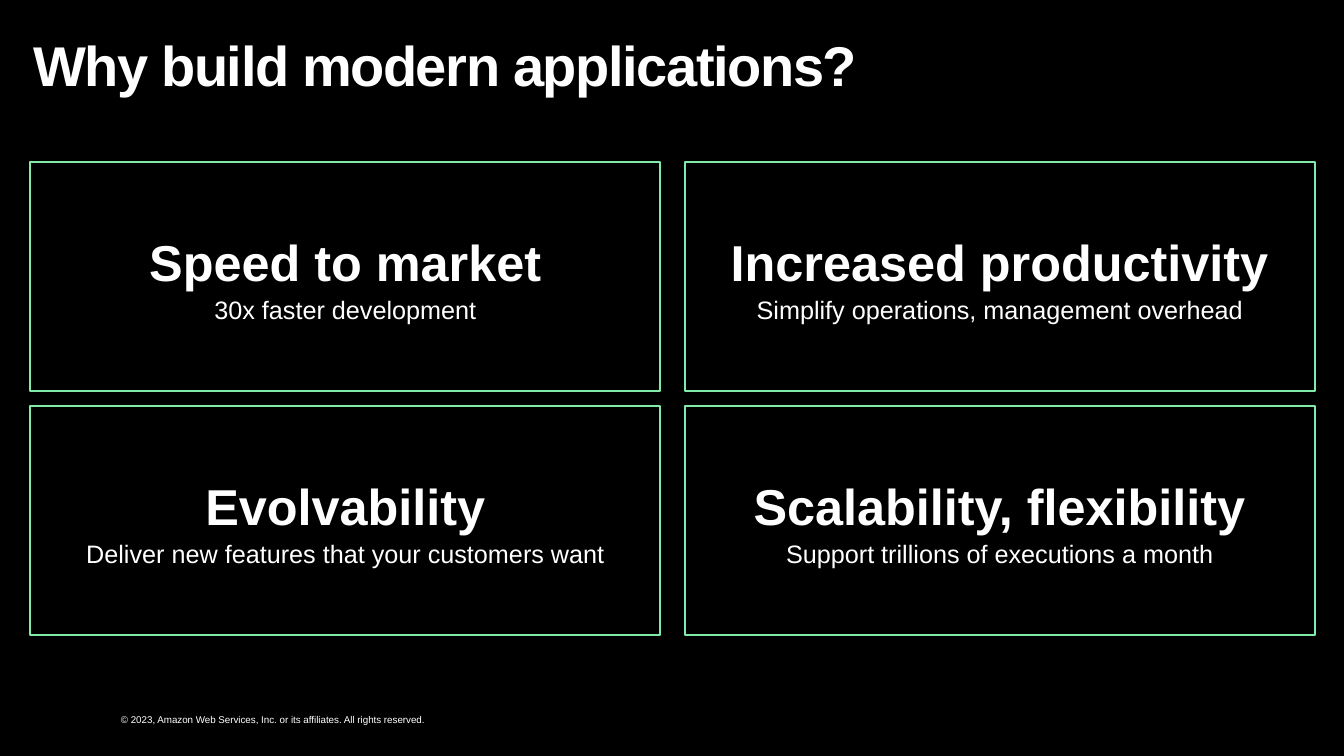
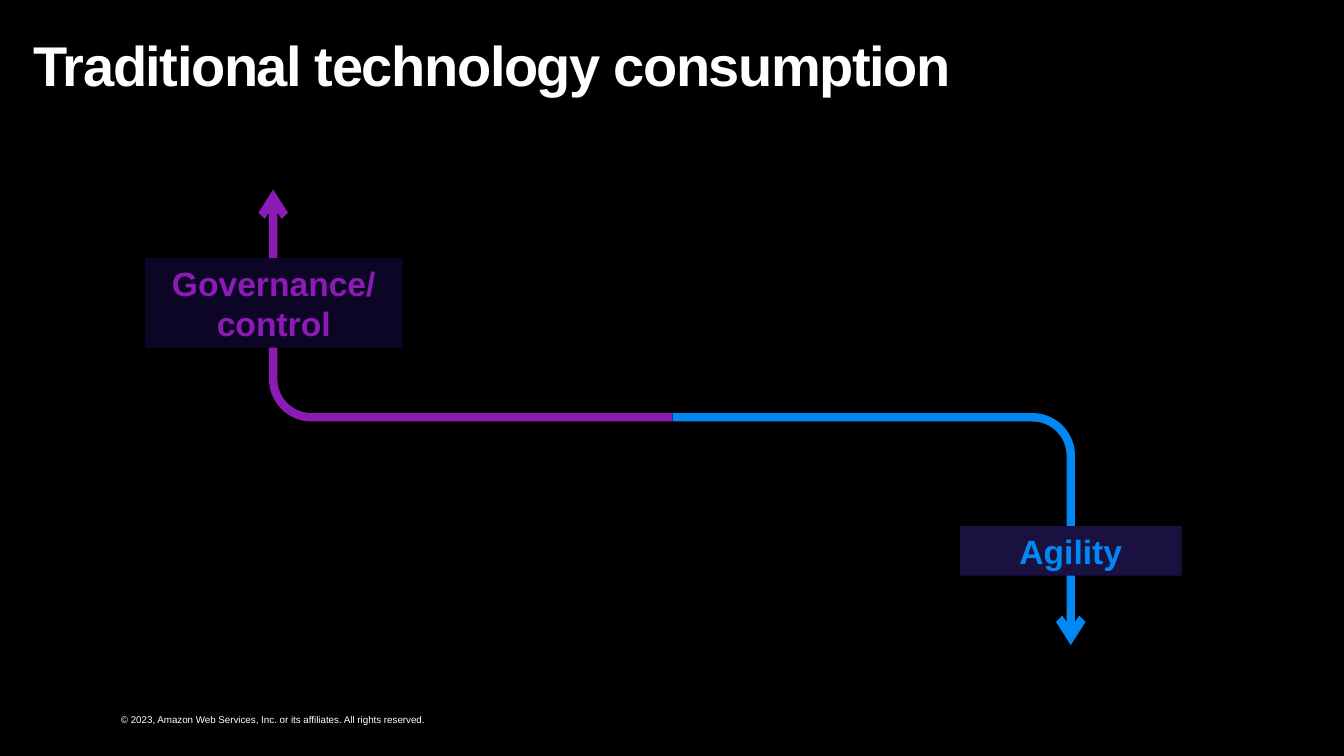
import math

from lxml import etree
from pptx import Presentation
from pptx.dml.color import RGBColor
from pptx.enum.shapes import MSO_SHAPE
from pptx.enum.text import MSO_ANCHOR, PP_ALIGN
from pptx.oxml.ns import qn
from pptx.util import Pt

PX = 9144
RECT = MSO_SHAPE.RECTANGLE
TOP, MIDDLE = MSO_ANCHOR.TOP, MSO_ANCHOR.MIDDLE
LEFT, CENTER = PP_ALIGN.LEFT, PP_ALIGN.CENTER

BLACK = RGBColor(0x00, 0x00, 0x00)
WHITE = RGBColor(0xFF, 0xFF, 0xFF)
GREEN = RGBColor(0x80, 0xEA, 0xA8)
PURPLE = RGBColor(0x8C, 0x1A, 0xB5)
BLUE = RGBColor(0x00, 0x89, 0xF4)
NIGHT = RGBColor(0x0D, 0x05, 0x25)
INDIGO = RGBColor(0x19, 0x12, 0x41)

FONT = "Arial"
FOOTER = "© 2023, Amazon Web Services, Inc. or its affiliates. All rights reserved."

REASONS_TITLE = "Why build modern applications?"
REASONS = [
    ("Speed to market", "30x faster development"),
    ("Increased productivity", "Simplify operations, management overhead"),
    ("Evolvability", "Deliver new features that your customers want"),
    ("Scalability, flexibility", "Support trillions of executions a month"),
]
GRID_X, GRID_Y, CARD_W, CARD_H, GAP_X, GAP_Y = 30, 161, 625, 227, 24, 15

TRADEOFF_TITLE = "Traditional technology consumption"
START = (667, 414)
RADIUS, ARC_STEPS = 38, 24
BRANCHES = [
    dict(text="Governance/\ncontrol", color=PURPLE, fill=NIGHT,
         end=(271, 188), box=(144, 256, 255, 89)),
    dict(text="Agility", color=BLUE, fill=INDIGO,
         end=(1062, 640), box=(952, 522, 220, 49)),
]


def emu(*values):
    return [round(v * PX) for v in values]


def write(sp, text, size, color=WHITE, bold=False, align=LEFT, anchor=TOP,
          margins=(0, 0, 0, 0), line=1.0, before=0, tracking=0, more=False):
    tf = sp.text_frame
    tf.word_wrap = True
    tf.vertical_anchor = anchor
    tf.margin_left, tf.margin_top, tf.margin_right, tf.margin_bottom = emu(*margins)
    p = tf.add_paragraph() if more else tf.paragraphs[0]
    p.text = text
    p.alignment = align
    p.line_spacing = line
    if before:
        p.space_before = Pt(before)
    for r in p.runs:
        r.font.name = FONT
        r.font.size = Pt(size)
        r.font.bold = bold
        r.font.color.rgb = color
        if tracking:
            r._r.get_or_add_rPr().set("spc", str(tracking * 100))


def add_box(s, box, fill=None, line=None):
    sp = s.shapes.add_shape(RECT, *emu(*box))
    sp.shadow.inherit = False
    if fill is None:
        sp.fill.background()
    else:
        sp.fill.solid()
        sp.fill.fore_color.rgb = fill
    if line is None:
        sp.line.fill.background()
    else:
        sp.line.color.rgb = line
        sp.line.width = Pt(1.5)
    return sp


def add_slide(prs, title):
    s = prs.slides.add_slide(prs.slide_layouts[6])
    write(s.shapes.add_textbox(*emu(120, 708, 433, 12)), FOOTER, 7)
    write(s.shapes.add_textbox(*emu(33, 33, 1267, 70)), title, 40, bold=True,
          margins=(0, 5, 0, 5), line=0.9, tracking=-1)
    return s


def add_bent_arrow(s, start, end, color):
    corner_x, corner_y = end[0], start[1]
    dx = math.copysign(RADIUS, start[0] - corner_x)
    dy = math.copysign(RADIUS, end[1] - corner_y)
    points = []
    for i in range(ARC_STEPS + 1):
        t = math.pi / 2 * i / ARC_STEPS
        points.append(emu(corner_x + dx * (1 - math.sin(t)),
                          corner_y + dy * (1 - math.cos(t))))
    points.append(emu(*end))
    path_builder = s.shapes.build_freeform(*emu(*start))
    path_builder.add_line_segments(points, close=False)
    sp = path_builder.convert_to_shape()
    sp.shadow.inherit = False
    sp.fill.background()
    sp.line.color.rgb = color
    sp.line.width = Pt(6)
    ln = sp.line._get_or_add_ln()
    etree.SubElement(ln, qn("a:round"))
    etree.SubElement(ln, qn("a:tailEnd"), type="arrow")


def build_reasons(prs):
    s = add_slide(prs, REASONS_TITLE)
    for i, (heading, detail) in enumerate(REASONS):
        row, col = divmod(i, 2)
        x = GRID_X + col * (CARD_W + GAP_X)
        y = GRID_Y + row * (CARD_H + GAP_Y)
        sp = add_box(s, (x, y, CARD_W, CARD_H), line=GREEN)
        style = dict(align=CENTER, anchor=MIDDLE, margins=(10, 15, 10, 5), line=0.9)
        write(sp, heading, 36, bold=True, **style)
        write(sp, detail, 18, before=4, more=True, **style)


def build_tradeoff(prs):
    s = add_slide(prs, TRADEOFF_TITLE)
    for b in BRANCHES:
        add_bent_arrow(s, START, b["end"], b["color"])
        write(add_box(s, b["box"], fill=b["fill"]), b["text"], 24, color=b["color"],
              bold=True, align=CENTER, anchor=MIDDLE, margins=(8, 4, 8, 4))


def main():
    prs = Presentation()
    prs.slide_width, prs.slide_height = emu(1333, 750)
    background = prs.slide_master.background.fill
    background.solid()
    background.fore_color.rgb = BLACK
    build_reasons(prs)
    build_tradeoff(prs)
    prs.save("out.pptx")


if __name__ == "__main__":
    main()
